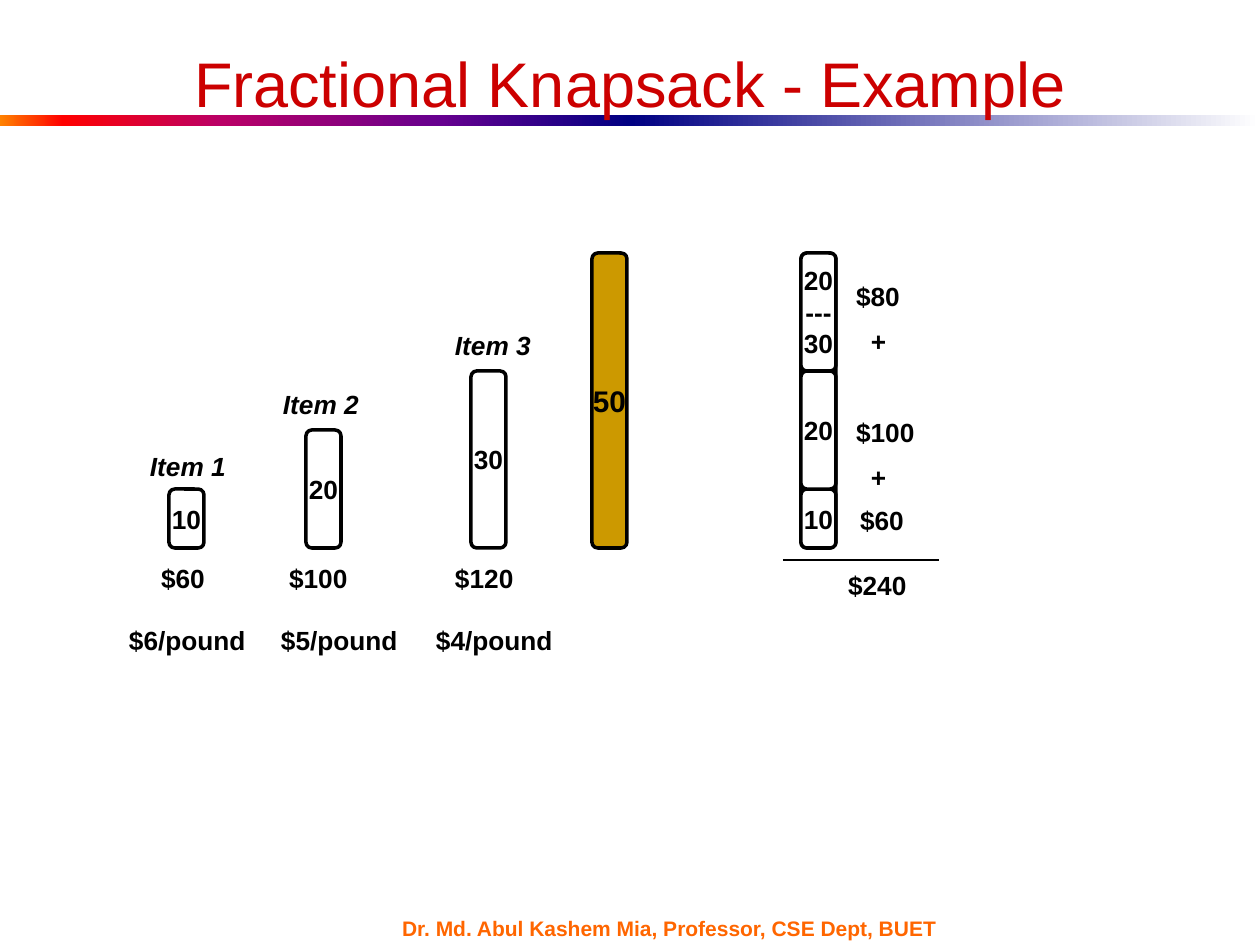
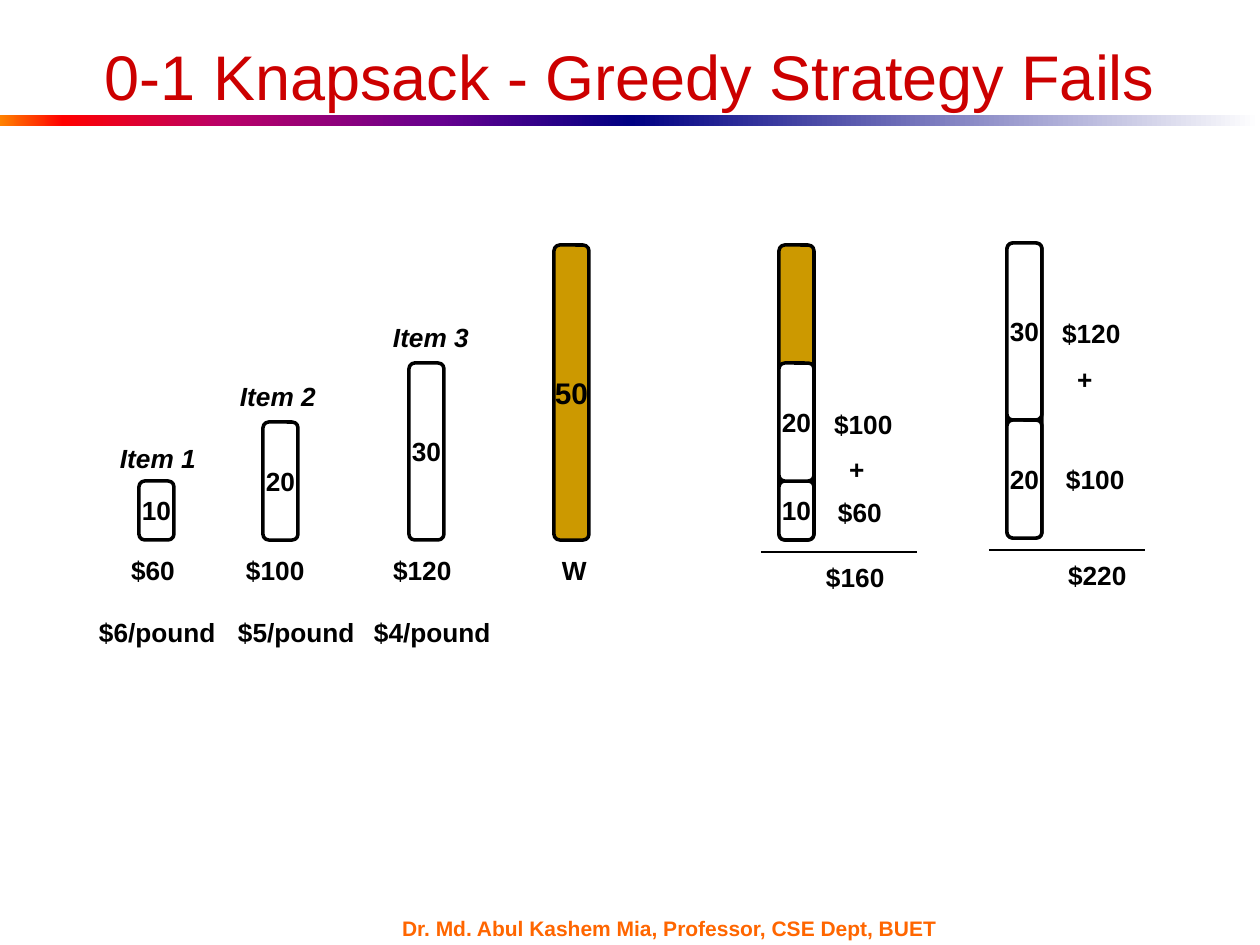
import pptx
import pptx.dml.color
import pptx.enum.shapes
import pptx.enum.text
import pptx.oxml.ns
import pptx.oxml.xmlchemy
import pptx.util

# Content
FOOTER = "Dr. Md. Abul Kashem Mia, Professor, CSE Dept, BUET"

# name, weight, price, rate, then offsets from the bar: name x, name y, price x, rate x
ITEMS = [
    ("Item 1", 10, "$60", "$6/pound", -30, -45, -19, -51),
    ("Item 2", 20, "$100", "$5/pound", -34, -48, -28, -36),
    ("Item 3", 30, "$120", "$4/pound", -27, -48, -27, -46),
]

# Each filling lists its blocks from the bottom: weight, caption, value, value lift
SLIDES = [
    {
        "title": "Fractional Knapsack - Example", "title_top": 32,
        "base": 548, "item_lefts": [169, 306, 471],
        "knapsack_left": 592, "knapsack_name": None,
        "fillings": [
            {"left": 801, "base": 548, "total": "$240", "total_shift": 36,
             "blocks": [(10, "10", "$60", 20), (20, "20", "$100\n+", 20),
                        (20, "20\n---\n30", "$80\n+", 38)]},
        ],
    },
    {
        "title": "0-1 Knapsack - Greedy Strategy Fails", "title_top": 25,
        "base": 540, "item_lefts": [139, 263, 409],
        "knapsack_left": 554, "knapsack_name": "W",
        "fillings": [
            {"left": 779, "base": 540, "total": "$160", "total_shift": 36,
             "blocks": [(10, "10", "$60", 20), (20, "20", "$100\n+", 20)]},
            {"left": 1007, "base": 538, "total": "$220", "total_shift": 50,
             "blocks": [(20, "20", "$100", 22), (30, "30", "$120\n+", 20)]},
        ],
    },
]

# Shared style
FONT = "Arial"
BLACK = pptx.dml.color.RGBColor(0x00, 0x00, 0x00)
WHITE = pptx.dml.color.RGBColor(0xFF, 0xFF, 0xFF)
GOLD = pptx.dml.color.RGBColor(0xCC, 0x99, 0x00)
RED = pptx.dml.color.RGBColor(0xCC, 0x00, 0x00)
ORANGE = pptx.dml.color.RGBColor(0xFF, 0x66, 0x00)
BANDS = [
    [(0, "FF8200"), (10, "FF0000"), (35, "BA0066"), (70, "66008F"), (100, "000082")],
    [(0, "000082"), (100, "FFFFFF")],
]
SLIDE_WIDTH, SLIDE_HEIGHT = 1260, 945
BAR_WIDTH, CAPACITY = 35, 50
LABEL_WIDTHS = {1: 48, 3: 68, 4: 83, 6: 99, 8: 141}  # by number of letters
LABEL_HEIGHT, PLUS_HEIGHT, PLUS_INDENT = 44, 47, 15


def px(length):
    return pptx.util.Emu(round(length * 914400 / 126))


def bar_height(weight):
    return round(weight * 5.9)


def format_text(frame, size, color=BLACK, bold=True, italic=False, align=None,
                side=11, top=6, wrap=False):
    frame.word_wrap = wrap
    frame.margin_left = frame.margin_right = px(side)
    frame.margin_top, frame.margin_bottom = px(top), px(6)
    for para in frame.paragraphs:
        para.alignment = align
        for span in para.runs:
            span.font.name = FONT
            span.font.size = pptx.util.Pt(size)
            span.font.bold, span.font.italic = bold, italic
            span.font.color.rgb = color


def add_bar(page, left, base, weight, caption="", fill=WHITE, size=15):
    height = bar_height(weight)
    bar = page.shapes.add_shape(pptx.enum.shapes.MSO_SHAPE.ROUNDED_RECTANGLE,
                                px(left), px(base - height), px(BAR_WIDTH), px(height))
    bar.adjustments[0] = 0.167
    bar.shadow.inherit = False
    bar.fill.solid()
    bar.fill.fore_color.rgb = fill
    bar.line.color.rgb = BLACK
    bar.line.width = pptx.util.Pt(2)
    if caption:
        bar.text_frame.text = caption
        bar.text_frame.vertical_anchor = pptx.enum.text.MSO_ANCHOR.MIDDLE
        format_text(bar.text_frame, size, align=pptx.enum.text.PP_ALIGN.CENTER)


def add_label(page, left, top, text, italic=False):
    lines = text.split("\n")
    height = LABEL_HEIGHT + PLUS_HEIGHT * (len(lines) - 1)
    box = page.shapes.add_textbox(px(left), px(top), px(LABEL_WIDTHS[len(lines[0])]), px(height))
    frame = box.text_frame
    frame.text = text
    format_text(frame, 15, italic=italic, align=pptx.enum.text.PP_ALIGN.LEFT)
    frame.auto_size = pptx.enum.text.MSO_AUTO_SIZE.SHAPE_TO_FIT_TEXT
    for para in frame.paragraphs[1:]:  # the plus sign below a value
        para.space_before = pptx.util.Pt(8)
        properties = para._p.get_or_add_pPr()
        properties.set("marL", str(px(PLUS_INDENT)))
        properties.set("indent", "0")


def add_sum_line(page, left, top):
    line = page.shapes.add_connector(pptx.enum.shapes.MSO_CONNECTOR.STRAIGHT,
                                     px(left), px(top), px(left + 156), px(top))
    line.line.color.rgb = BLACK
    line.line.width = pptx.util.Pt(0.75)
    line.element.spPr.append(pptx.oxml.xmlchemy.OxmlElement("a:effectLst"))


def add_band(page, left, stops):
    band = page.shapes.add_shape(pptx.enum.shapes.MSO_SHAPE.RECTANGLE,
                                 px(left), px(115), px(SLIDE_WIDTH / 2), px(11))
    band.shadow.inherit = False
    band.line.fill.background()
    band.fill.gradient()
    band.fill.gradient_angle = 0
    stop_list = band.element.find(".//" + pptx.oxml.ns.qn("a:gsLst"))
    for old_stop in list(stop_list):
        stop_list.remove(old_stop)
    for percent, color in stops:
        stop = pptx.oxml.xmlchemy.OxmlElement("a:gs")
        stop.set("pos", str(percent * 1000))
        value = pptx.oxml.xmlchemy.OxmlElement("a:srgbClr")
        value.set("val", color)
        stop.append(value)
        stop_list.append(stop)
    return band


def add_footer(page):
    footer = page.shapes.add_textbox(px(389), px(917), px(588), px(23))
    footer.text_frame.text = FOOTER
    footer.text_frame.vertical_anchor = pptx.enum.text.MSO_ANCHOR.MIDDLE
    format_text(footer.text_frame, 12, ORANGE, side=13)
    return footer


def move_to_layout(layout, shapes):
    for shape in shapes:
        layout.shapes.element.append(shape.element)


def set_title(page, text, top):
    title = page.shapes.title
    title.left, title.top, title.width, title.height = px(63), px(top), px(1134), px(64)
    frame = title.text_frame
    frame.text = text
    frame.auto_size = pptx.enum.text.MSO_AUTO_SIZE.NONE
    frame.vertical_anchor = pptx.enum.text.MSO_ANCHOR.TOP
    format_text(frame, 36, RED, bold=False, align=pptx.enum.text.PP_ALIGN.CENTER,
                side=13, top=12, wrap=True)


def add_items(page, base, lefts):
    for item, left in zip(ITEMS, lefts):
        name, weight, price, rate, name_dx, name_dy, price_dx, rate_dx = item
        add_bar(page, left, base, weight, str(weight))
        add_label(page, left + name_dx, base - bar_height(weight) + name_dy, name, italic=True)
        add_label(page, left + price_dx, base + 8, price)
        add_label(page, left + rate_dx, base + 70, rate)


def add_filling(page, filling):
    left, base = filling["left"], filling["base"]
    add_bar(page, left, base, CAPACITY, fill=GOLD)
    bottom = base
    for weight, caption, value, lift in filling["blocks"]:
        add_bar(page, left, bottom, weight, caption)
        middle = bottom - bar_height(weight) / 2
        shift = 44 if "\n" in value else 48
        add_label(page, left + shift, middle - lift, value)
        bottom -= bar_height(weight)
    add_sum_line(page, left - 18, base + 12)
    add_label(page, left + filling["total_shift"], base + 15, filling["total"])


def main():
    deck = pptx.Presentation()
    deck.slide_width, deck.slide_height = px(SLIDE_WIDTH), px(SLIDE_HEIGHT)
    layout = deck.slide_layouts[5]
    for number, content in enumerate(SLIDES):
        page = deck.slides.add_slide(layout)
        if number == 0:  # bands and footer are shared through the layout
            bands = [add_band(page, i * SLIDE_WIDTH / 2, stops) for i, stops in enumerate(BANDS)]
            move_to_layout(layout, bands + [add_footer(page)])
        set_title(page, content["title"], content["title_top"])
        add_items(page, content["base"], content["item_lefts"])
        add_bar(page, content["knapsack_left"], content["base"], CAPACITY, str(CAPACITY), GOLD, 17)
        if content["knapsack_name"]:
            add_label(page, content["knapsack_left"] - 3, content["base"] + 8,
                      content["knapsack_name"])
        for filling in content["fillings"]:
            add_filling(page, filling)
    deck.save("out.pptx")


if __name__ == "__main__":
    main()
